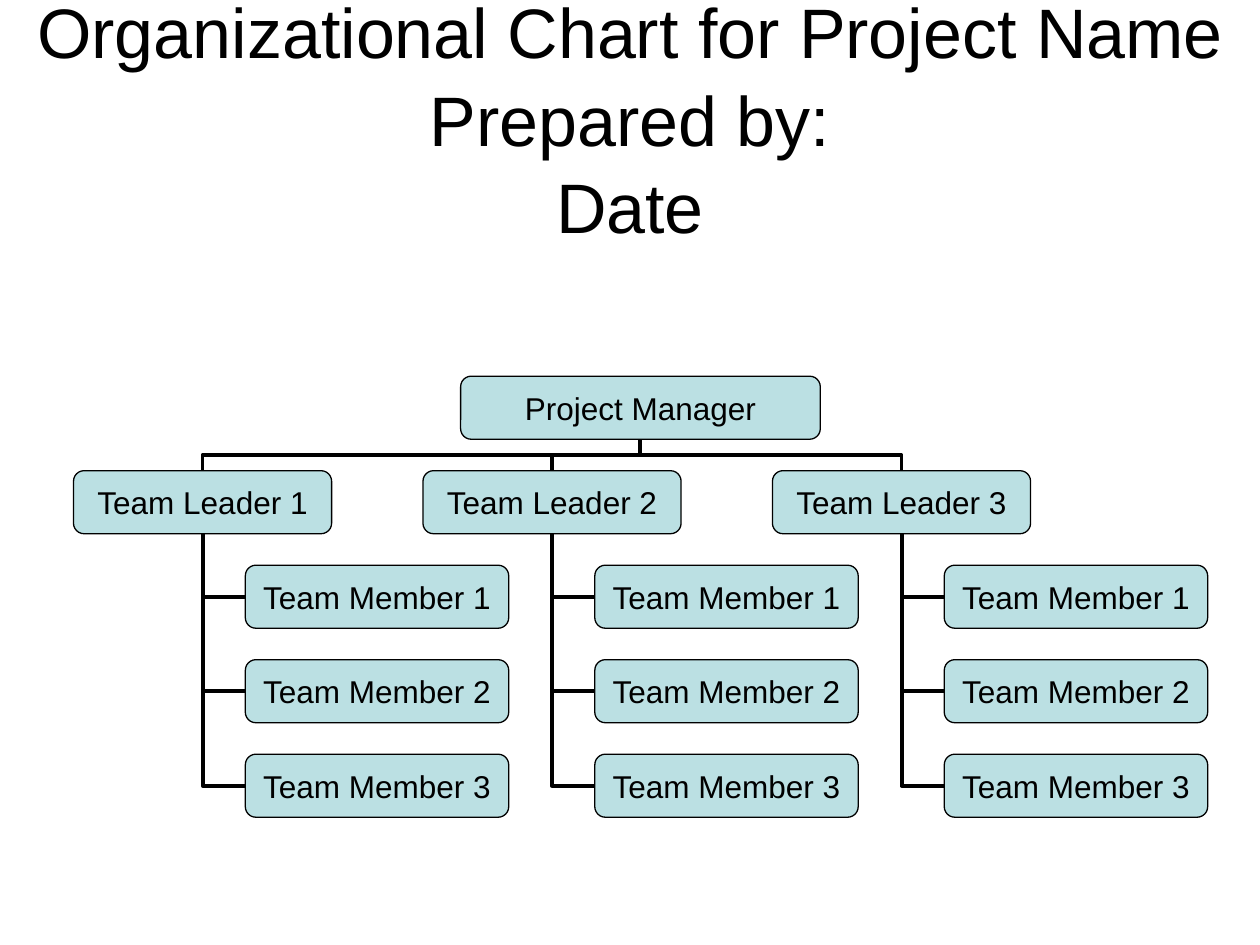
from lxml import etree
from pptx import Presentation
from pptx.dml.color import RGBColor
from pptx.enum.shapes import MSO_CONNECTOR, MSO_SHAPE
from pptx.enum.text import MSO_ANCHOR, MSO_AUTO_SIZE, PP_ALIGN
from pptx.oxml.ns import qn
from pptx.util import Pt

ROUNDED = MSO_SHAPE.ROUNDED_RECTANGLE
ELBOW = MSO_CONNECTOR.ELBOW
MIDDLE = MSO_ANCHOR.MIDDLE
CENTER = PP_ALIGN.CENTER
NO_AUTOFIT = MSO_AUTO_SIZE.NONE

BLACK = RGBColor(0x00, 0x00, 0x00)
PALE_TEAL = RGBColor(0xBB, 0xE0, 0xE3)

TITLE = "Organizational Chart for Project Name\vPrepared by:\vDate"
TEAMS = 3
MEMBERS = 3

BOX_HEIGHT = 36
TOP = 215
ROW_STEP = 54
COLUMN_STEP = 199.7
MANAGER_LEFT, MANAGER_WIDTH = 263.25, 205.5
LEADER_LEFT, LEADER_WIDTH = 42, 147.5
MEMBER_LEFT, MEMBER_WIDTH = 140.2, 150.5


def write_text(frame, text, size=18, wrap=False, line_spacing=1.0):
    frame.auto_size = NO_AUTOFIT
    frame.word_wrap = wrap
    frame.vertical_anchor = MIDDLE
    paragraph = frame.paragraphs[0]
    paragraph.text = text
    paragraph.alignment = CENTER
    paragraph.line_spacing = line_spacing
    for run in paragraph.runs:
        run.font.name = "Arial"
        run.font.size = Pt(size)
        run.font.color.rgb = BLACK


class ChartSlide:
    def __init__(self, slide):
        self.slide = slide
        self.fill = PALE_TEAL
        self.line = BLACK

    def title(self, text, left, top, width, height):
        title = self.slide.shapes.title
        title.left, title.top = Pt(left), Pt(top)
        title.width, title.height = Pt(width), Pt(height)
        write_text(title.text_frame, text, size=40, wrap=True, line_spacing=1.04)

    def box(self, text, left, top, width):
        shape = self.slide.shapes.add_shape(
            ROUNDED, Pt(left), Pt(top), Pt(width), Pt(BOX_HEIGHT))
        shape.shadow.inherit = False
        shape.fill.solid()
        shape.fill.fore_color.rgb = self.fill
        shape.line.color.rgb = self.line
        shape.line.width = Pt(0.75)
        write_text(shape.text_frame, text)

    def elbow(self, begin, end, preset, degrees):
        """Draw a bent connector, given its ends before it is rotated."""
        connector = self.slide.shapes.add_connector(
            ELBOW, *(Pt(value) for value in (*begin, *end)))
        connector.line.color.rgb = self.line
        connector.line.width = Pt(2.25)
        properties = connector._element.spPr
        etree.SubElement(properties, qn("a:effectLst"))
        properties.find(qn("a:prstGeom")).set("prst", preset)
        properties.find(qn("a:xfrm")).set("rot", str(degrees * 60000))

    def link_up(self, child_x, child_top, parent_x, parent_bottom):
        """Go up from a child, across halfway, and up to its parent."""
        center_x = (child_x + parent_x) / 2
        center_y = (child_top + parent_bottom) / 2
        half_gap = (child_top - parent_bottom) / 2
        half_span = (child_x - parent_x) / 2
        self.elbow((center_x - half_gap, center_y + half_span),
                   (center_x + half_gap, center_y - half_span),
                   "bentConnector3", 270)

    def link_side(self, child_left, child_middle, parent_x, parent_bottom):
        """Go left from a child and up to its parent."""
        self.elbow((parent_x, parent_bottom), (child_left, child_middle),
                   "bentConnector2", 180)


def row_top(row):
    return TOP + row * ROW_STEP


def main():
    presentation = Presentation()
    presentation.slide_width, presentation.slide_height = Pt(720), Pt(540)
    layout = presentation.slide_layouts.get_by_name("Title Only")
    chart = ChartSlide(presentation.slides.add_slide(layout))
    chart.title(TITLE, 0, 21.6, 720, 90)

    manager_center = MANAGER_LEFT + MANAGER_WIDTH / 2
    leader_top = row_top(1)
    leader_bottom = leader_top + BOX_HEIGHT
    offsets = [team * COLUMN_STEP for team in range(TEAMS)]
    member_tops = [row_top(2 + member) for member in range(MEMBERS)]

    for offset in offsets:
        leader_center = LEADER_LEFT + LEADER_WIDTH / 2 + offset
        chart.link_up(leader_center, leader_top, manager_center, TOP + BOX_HEIGHT)
        for top in member_tops:
            chart.link_side(MEMBER_LEFT + offset, top + BOX_HEIGHT / 2,
                            leader_center, leader_bottom)

    chart.box("Project Manager", MANAGER_LEFT, TOP, MANAGER_WIDTH)
    for team, offset in enumerate(offsets, 1):
        chart.box(f"Team Leader {team}", LEADER_LEFT + offset, leader_top, LEADER_WIDTH)
        for member, top in enumerate(member_tops, 1):
            chart.box(f"Team Member {member}", MEMBER_LEFT + offset, top, MEMBER_WIDTH)

    presentation.save("out.pptx")


if __name__ == "__main__":
    main()
